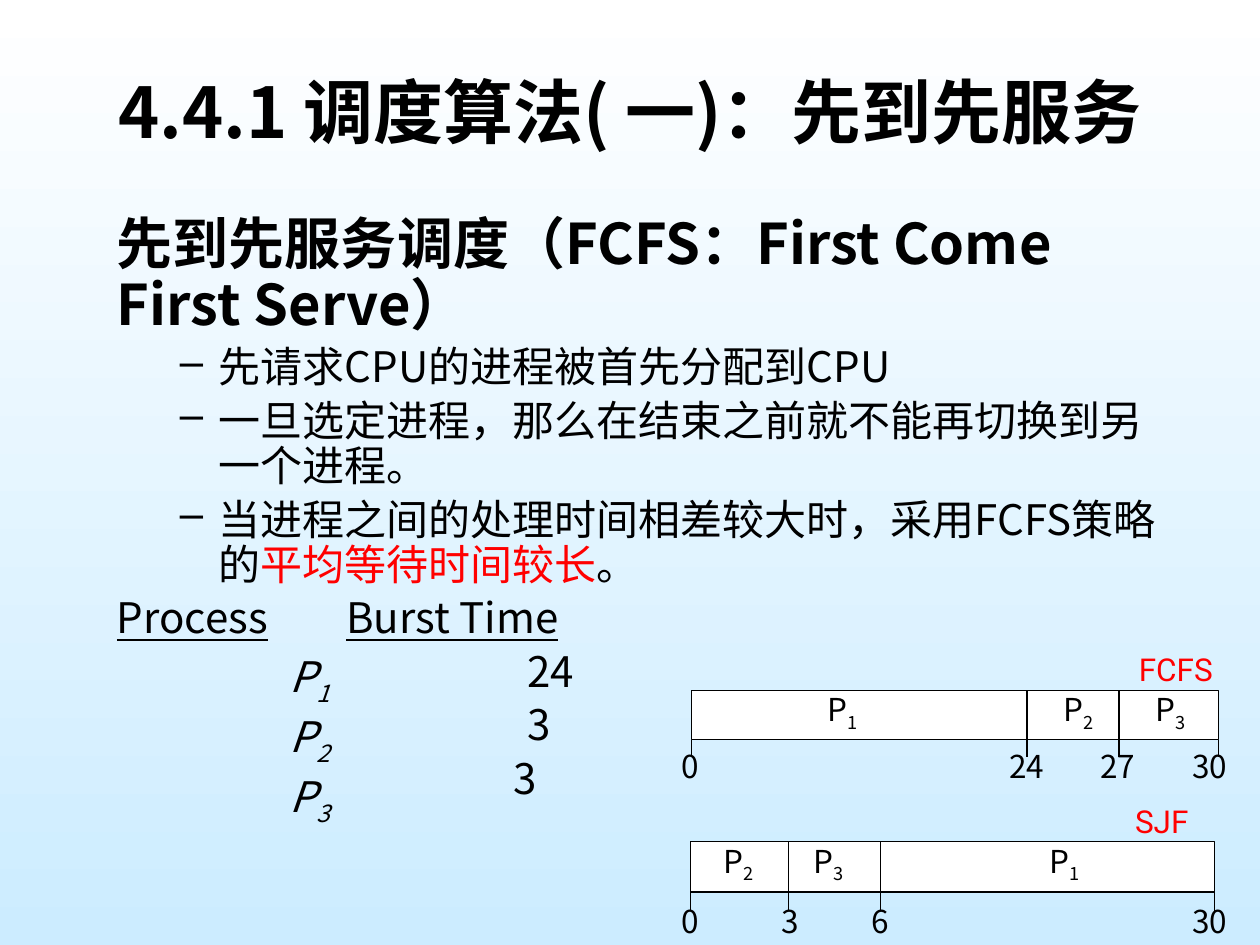
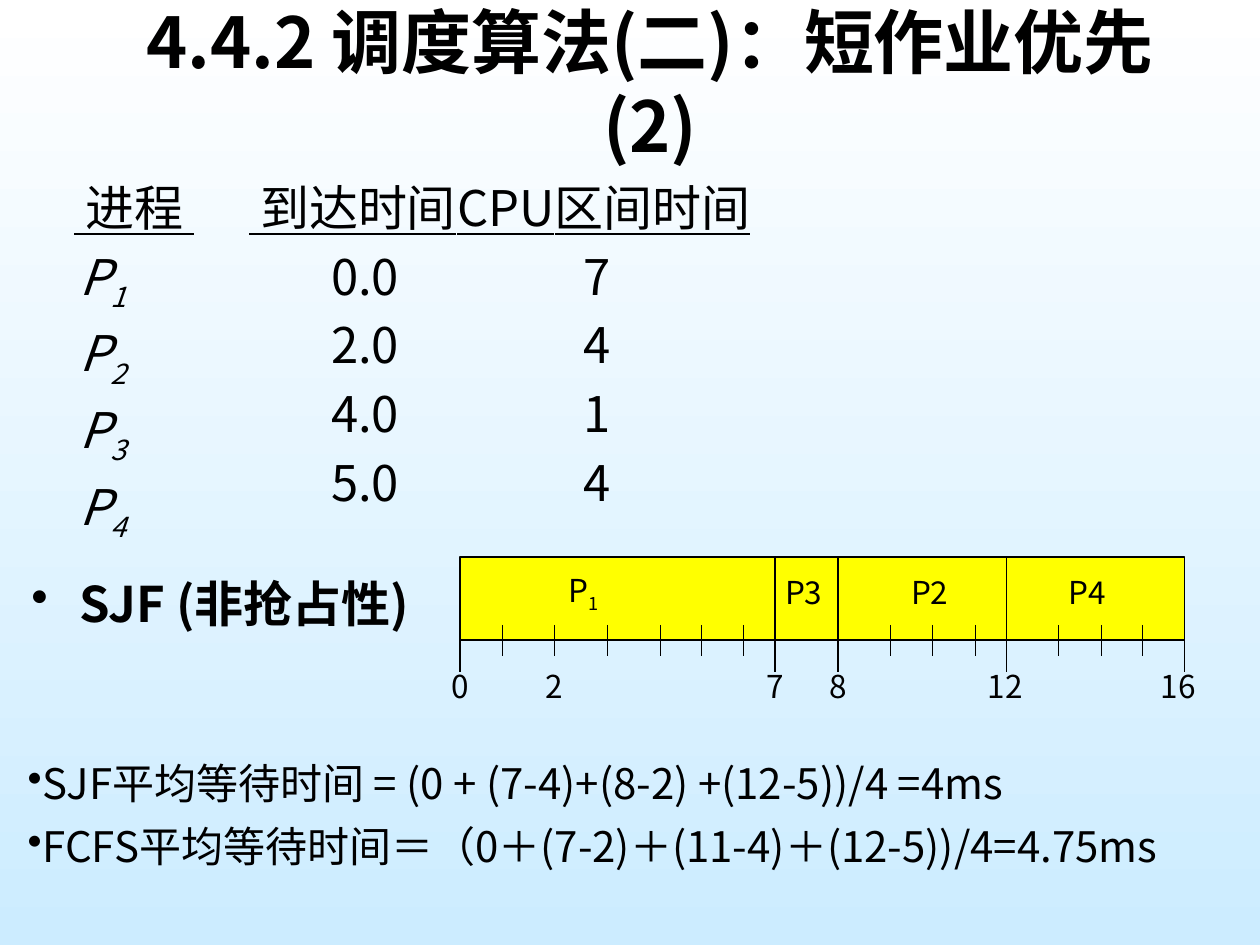
from lxml import etree
from pptx import Presentation
from pptx.dml.color import RGBColor
from pptx.enum.shapes import MSO_CONNECTOR as Connector, MSO_SHAPE as Shape
from pptx.enum.text import MSO_ANCHOR as Anchor, MSO_AUTO_SIZE as AutoSize, PP_ALIGN as Align
from pptx.oxml.ns import qn
from pptx.util import Inches, Pt

COLORS = {
    "text": "000000",
    "accent": "FF0000",
    "white": "FFFFFF",
    "sky": "CCECFF",
    "yellow": "FFFF00",
}
FONT = "Noto Sans CJK SC"
LABEL_FONT = "Roboto"


def color(name):
    return RGBColor.from_string(COLORS[name])


def add_child(parent, tag, **attributes):
    child = etree.SubElement(parent, qn(tag))
    for key, value in attributes.items():
        child.set(key, str(value))
    return child


def format_run(run, size, marks="", font=FONT):
    run.font.size = Pt(size)
    run.font.name = font
    run.font.bold = "b" in marks
    run.font.italic = "i" in marks
    run.font.underline = "u" in marks
    run.font.color.rgb = color("accent" if "r" in marks else "text")
    properties = run.font._element
    add_child(properties, "a:ea", typeface=font)
    if "s" in marks:
        properties.set("baseline", "-25000")


def format_paragraph(paragraph, line=None, before=20, margin=0, indent=0, bullet=None):
    if line:
        paragraph.line_spacing = line
    properties = paragraph._p.get_or_add_pPr()
    properties.set("marL", str(Inches(margin)))
    properties.set("indent", str(Inches(indent)))
    if before:
        spacing = add_child(properties, "a:spcBef")
        add_child(spacing, "a:spcPct", val=before * 1000)
    if bullet:
        add_child(properties, "a:buChar", char=bullet)


def fill_paragraph(paragraph, runs, size, font=FONT, **layout):
    for text, marks in runs:
        run = paragraph.add_run()
        run.text = text
        format_run(run, size, marks, font)
    format_paragraph(paragraph, **layout)


def add_text_frame(slide, left, top, width, height, wrap=True, anchor=Anchor.TOP):
    box = slide.shapes.add_textbox(Inches(left), Inches(top), Inches(width), Inches(height))
    frame = box.text_frame
    frame.word_wrap = wrap
    frame.vertical_anchor = anchor
    frame.auto_size = AutoSize.NONE if wrap else AutoSize.SHAPE_TO_FIT_TEXT
    return frame


def add_body(slide, place, paragraphs):
    frame = add_text_frame(slide, *place)
    for index, (runs, size, layout) in enumerate(paragraphs):
        paragraph = frame.add_paragraph() if index else frame.paragraphs[0]
        fill_paragraph(paragraph, runs, size, **layout)


def add_column(slide, place, header, cells, size, line=None):
    paragraphs = [(header, size, dict(line=line))]
    for runs, margin in cells:
        paragraphs.append((runs, size, dict(line=line, margin=margin)))
    add_body(slide, place, paragraphs)


def add_slide(presentation, title, title_place):
    slide = presentation.slides.add_slide(presentation.slide_layouts[6])
    fill = slide.background.fill
    fill.gradient()
    fill.gradient_angle = 270
    for stop, name in zip(fill.gradient_stops, ("white", "sky")):
        stop.color.rgb = color(name)
    frame = add_text_frame(slide, *title_place, anchor=Anchor.MIDDLE)
    frame.text = title
    paragraph = frame.paragraphs[0]
    paragraph.alignment = Align.CENTER
    format_run(paragraph.runs[0], 40, "b")
    return slide


def add_chart_label(slide, runs, center, top):
    width = 0.6
    frame = add_text_frame(slide, center - width / 2, top, width, 0.4, False, Anchor.MIDDLE)
    fill_paragraph(frame.paragraphs[0], runs, 18, before=50)
    frame.paragraphs[0].alignment = Align.CENTER


def add_caption(slide, text, left, top, width):
    frame = add_text_frame(slide, left, top, width, 0.4, wrap=False)
    fill_paragraph(frame.paragraphs[0], [(text, "r")], 18, LABEL_FONT, before=0)


def add_vertical_line(slide, x, top, bottom):
    line = slide.shapes.add_connector(
        Connector.STRAIGHT, Inches(x), Inches(top), Inches(x), Inches(bottom))
    line.line.color.rgb = color("text")
    line.line.width = Pt(0.75)
    add_child(line._element.spPr, "a:effectLst")


def add_gantt(slide, top, height, drop, fill, edges, jobs, job_top, times, time_top):
    bottom = top + height
    bar = slide.shapes.add_shape(Shape.RECTANGLE, Inches(edges[0]), Inches(top),
                                 Inches(edges[-1] - edges[0]), Inches(height))
    bar.shadow.inherit = False
    bar.fill.solid()
    bar.fill.fore_color.rgb = color(fill)
    bar.line.color.rgb = color("text")
    bar.line.width = Pt(0.75)
    for x in edges[1:-1]:
        add_vertical_line(slide, x, top, bottom)
    for x in edges:
        add_vertical_line(slide, x, bottom, bottom + drop)
    for runs, center in jobs:
        add_chart_label(slide, runs, center, job_top)
    for time, center in times:
        add_chart_label(slide, [(str(time), "")], center, time_top)


def process(number, marks=""):
    return [("P", marks), (str(number), marks + "s")]


def build_first_come_slide(presentation):
    slide = add_slide(presentation, "4.4.1 调度算法( 一)：先到先服务", (0.75, 0.25, 8.5, 1.25))
    point = dict(line=0.9, margin=0.81, indent=-0.31, bullet="–")
    add_body(slide, (0.83, 1.67, 8.5, 3), [
        ([("先到先服务调度（FCFS：First Come First Serve）", "b")], 32, dict(line=0.9)),
        ([("先请求CPU的进程被首先分配到CPU", "")], 24, point),
        ([("一旦选定进程，那么在结束之前就不能再切换到另一个进程。", "")], 24, point),
        ([("当进程之间的处理时间相差较大时，采用FCFS策略的", ""),
          ("平均等待时间较长", "r"), ("。", "")], 24, point),
    ])
    names = [(process(number, "i"), 1.37) for number in (1, 2, 3)]
    bursts = [([(burst, "")], margin) for burst, margin in (("24", 1.44), ("3", 1.44), ("3", 1.33))]
    add_column(slide, (0.83, 4.69, 2.2, 1.95), [("Process", "u")], names, 24, 0.9)
    add_column(slide, (2.65, 4.69, 2.2, 1.95), [("Burst Time", "u")], bursts, 24, 0.9)

    add_gantt(slide, 5.48, 0.39, 0.14, "white", [5.49, 8.15, 8.88, 9.67],
              [(process(1), 6.69), (process(2), 8.56), (process(3), 9.29)], 5.45,
              [(0, 5.48), (24, 8.15), (27, 8.87), (30, 9.6)], 5.88)
    add_gantt(slide, 6.68, 0.4, 0.15, "white", [5.48, 6.26, 6.99, 9.64],
              [(process(2), 5.86), (process(3), 6.58), (process(1), 8.45)], 6.65,
              [(0, 5.48), (3, 6.27), (6, 6.99), (30, 9.6)], 7.11)
    add_caption(slide, "FCFS", 8.94, 5.11, 0.86)
    add_caption(slide, "SJF", 8.91, 6.32, 0.65)


def build_shortest_job_slide(presentation):
    slide = add_slide(presentation, "4.4.2 调度算法(二)：短作业优先(2)", (0.73, 0.03, 8.86, 1.25))
    names = [(process(number, "i"), 0.04) for number in (1, 2, 3, 4)]
    arrivals = [([(time, "")], 0.65) for time in ("0.0", "2.0", "4.0", "5.0")]
    bursts = [([(time, "")], 1) for time in ("7", "4", "1", "4")]
    columns = [
        (0.49, 1.5, " 进程 ", names),
        (1.88, 2.1, " 到达时间", arrivals),
        (3.53, 3, "CPU区间时间", bursts),
    ]
    for left, width, header, cells in columns:
        add_column(slide, (left, 1.36, width, 3.1), [(header, "u")], cells, 28)
    add_body(slide, (0.15, 4.5, 3.5, 0.6), [
        ([("SJF (非抢占性)", "b")], 28, dict(margin=0.38, indent=-0.38, bullet="•")),
    ])

    waits = [
        ("SJF平均等待时间 = (0 + (7-4)+(8-2) +(12-5))/4 =4ms", 6.01, 9.28),
        ("FCFS平均等待时间＝（0＋(7-2)＋(11-4)＋(12-5))/4=4.75ms", 6.51, 9.98),
    ]
    for text, top, width in waits:
        add_body(slide, (0.12, top, width, 0.46), [([(text, "")], 24, dict(line=0.9, bullet="•"))])

    jobs = [(process(1), 4.63), ([("P3", "")], 6.38), ([("P2", "")], 7.38), ([("P4", "")], 8.63)]
    times = [(0, 3.65), (2, 4.4), (7, 6.15), (8, 6.65), (12, 7.98), (16, 9.35)]
    add_gantt(slide, 4.42, 0.66, 0.25, "yellow", [3.65, 6.15, 6.65, 7.99, 9.4],
              jobs, 4.5, times, 5.24)
    for x in (3.99, 4.4, 4.82, 5.24, 5.57, 5.9, 7.07, 7.4, 7.74, 8.4, 8.74, 9.07):
        add_vertical_line(slide, x, 4.96, 5.21)


def main():
    presentation = Presentation()
    presentation.slide_width = Inches(10)
    presentation.slide_height = Inches(7.5)
    build_first_come_slide(presentation)
    build_shortest_job_slide(presentation)
    presentation.save("out.pptx")


if __name__ == "__main__":
    main()
